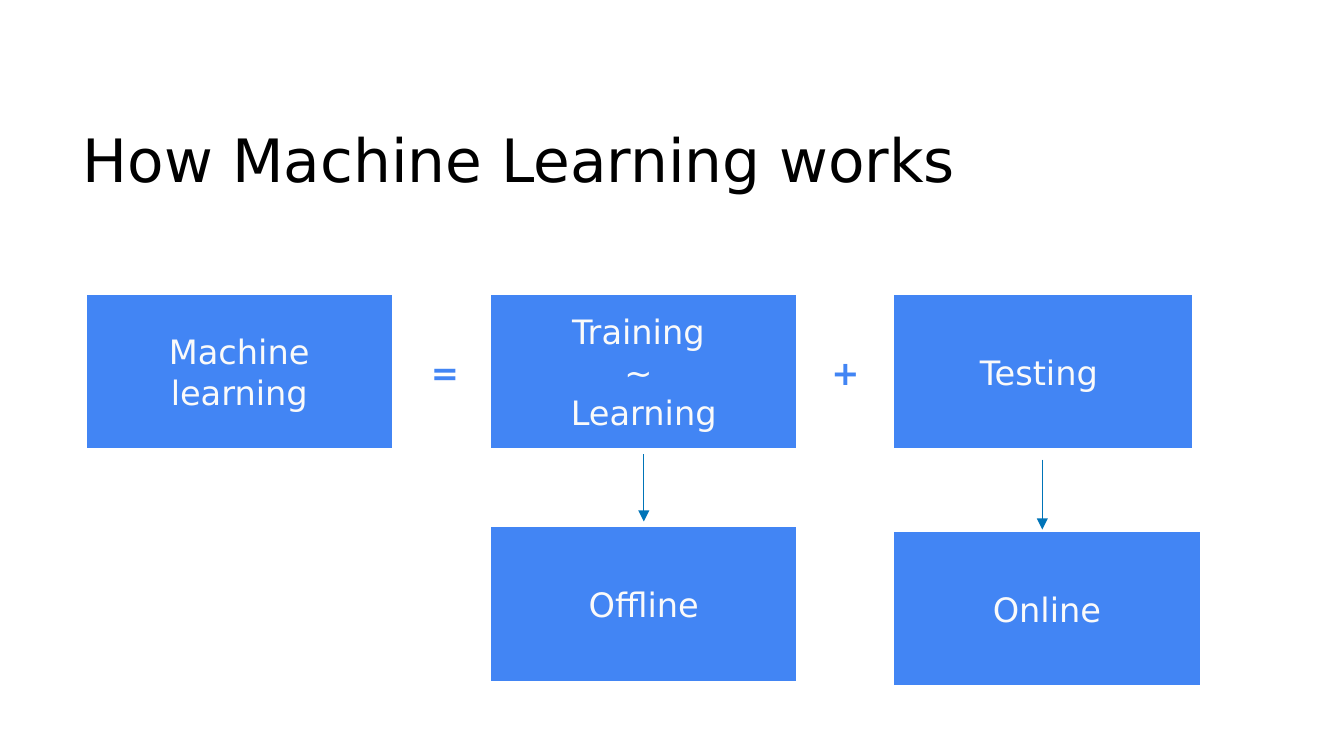
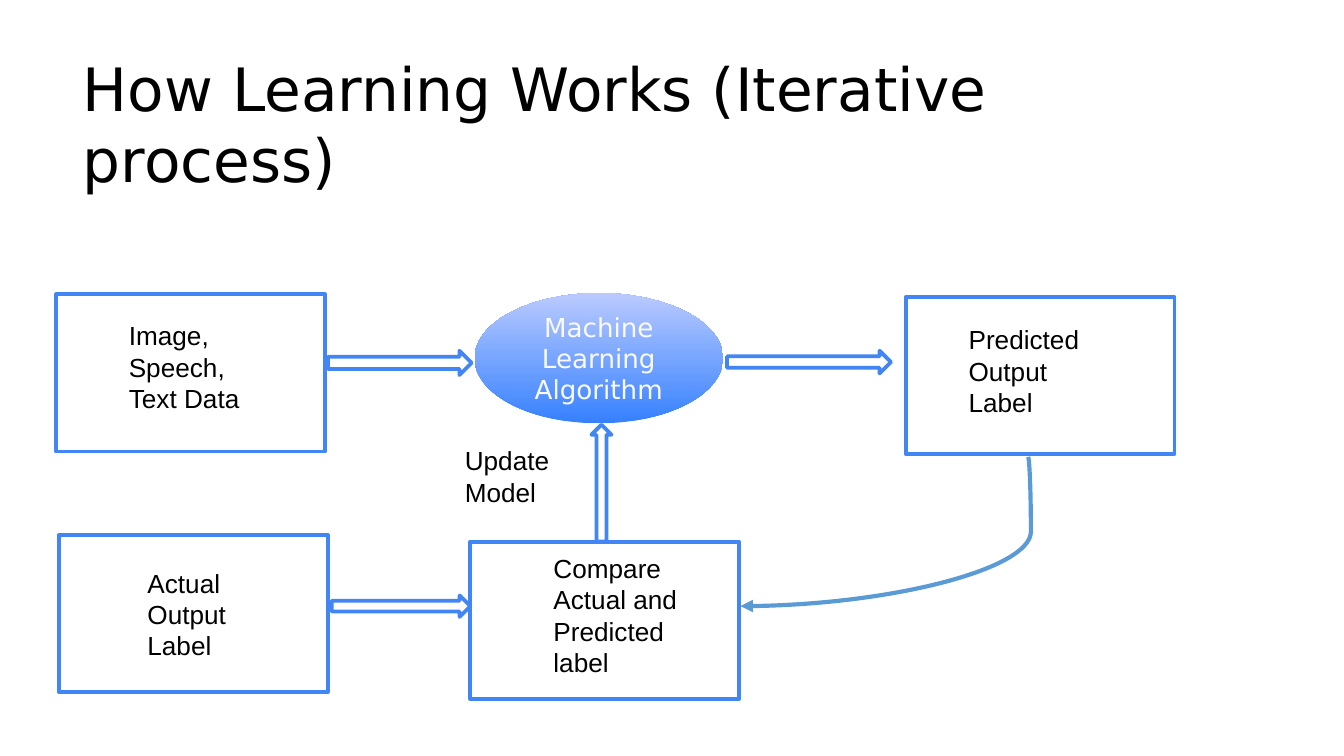
from lxml import etree
from pptx import Presentation
from pptx.dml.color import RGBColor
from pptx.enum.shapes import MSO_CONNECTOR, MSO_SHAPE
from pptx.enum.text import MSO_ANCHOR, PP_ALIGN
from pptx.oxml.ns import qn
from pptx.util import Pt

RECT, OVAL, ARROW = MSO_SHAPE.RECTANGLE, MSO_SHAPE.OVAL, MSO_SHAPE.RIGHT_ARROW
LINE, CURVE = MSO_CONNECTOR.STRAIGHT, MSO_CONNECTOR.CURVE
TOP, MIDDLE, BOTTOM = MSO_ANCHOR.TOP, MSO_ANCHOR.MIDDLE, MSO_ANCHOR.BOTTOM
LEFT, CENTER = PP_ALIGN.LEFT, PP_ALIGN.CENTER

WHITE = RGBColor(0xFF, 0xFF, 0xFF)
BLACK = RGBColor(0x00, 0x00, 0x00)
PALE = RGBColor(0xFA, 0xFA, 0xFA)
BLUE = RGBColor(0x42, 0x85, 0xF4)
TEAL = RGBColor(0x00, 0x74, 0xB8)
SKY = RGBColor(0x5B, 0x9B, 0xD5)
DEEP = RGBColor(0x36, 0x81, 0xFF)
MIST = RGBColor(0xBA, 0xCA, 0xFF)

HEAD, BODY = "DejaVu Sans", "Arial"
EDGE = 2
BOX_H = 84.2


def write(shape, lines, size, color, font=HEAD, bold=False,
          align=LEFT, anchor=TOP, pad=3.6):
    """Fill a shape with one paragraph for each line."""
    frame = shape.text_frame
    frame.word_wrap = True
    frame.vertical_anchor = anchor
    frame.margin_left = frame.margin_right = Pt(7.2)
    frame.margin_top = frame.margin_bottom = Pt(pad)
    for i, line in enumerate(lines):
        para = frame.add_paragraph() if i else frame.paragraphs[0]
        para.alignment = align
        run = para.add_run()
        run.text = line
        run.font.name = font
        run.font.size = Pt(size)
        run.font.bold = bold
        run.font.color.rgb = color


def add_text(slide, x, y, w, h, lines, size, **style):
    box = slide.shapes.add_textbox(Pt(x), Pt(y), Pt(w), Pt(h))
    write(box, lines, size, BLACK, **style)


def add_shape(slide, kind, x, y, w, h, fill=WHITE, edge=BLUE):
    shape = slide.shapes.add_shape(kind, Pt(x), Pt(y), Pt(w), Pt(h))
    shape.shadow.inherit = False
    shape.fill.solid()
    shape.fill.fore_color.rgb = fill
    shape.line.color.rgb = edge
    shape.line.width = Pt(EDGE)
    return shape


def add_link(slide, kind, x1, y1, x2, y2, color, width):
    """Add a connector with an arrowhead at its end."""
    link = slide.shapes.add_connector(kind, Pt(x1), Pt(y1), Pt(x2), Pt(y2))
    link.line.color.rgb = color
    link.line.width = Pt(width)
    props = link._element.spPr
    etree.SubElement(props.find(qn("a:ln")), qn("a:tailEnd"), type="triangle")
    etree.SubElement(props, qn("a:effectLst"))
    return link


def add_title(slide, text):
    add_text(slide, 37.4, 51.1, 615, 60.5, [text], 32,
             anchor=BOTTOM, pad=7.2)


def add_sum(slide, left, top):
    """Learning = training + testing, with the mode of each below."""
    wide, slim = 165.6, 50.4
    # x, y, width, lines, is a sign
    upper = [
        (0, 0, wide, ["Machine learning"], False),
        (167.8, 0, slim, ["="], True),
        (216.7, 0, wide, ["Training ", "~ ", "Learning"], False),
        (428.4, 0, wide, ["Testing"], False),
        (382.3, 0.4, slim, ["+"], True),
    ]
    lower = [
        (216.7, 124.6, wide, ["Offline"], False),
        (432.7, 127, wide, ["Online"], False),
    ]
    for x, y, w, lines, sign in upper + lower:
        fill, ink = (WHITE, BLUE) if sign else (BLUE, PALE)
        shape = add_shape(slide, RECT, left + x, top + y, w, BOX_H,
                          fill, WHITE)
        write(shape, lines, 18, ink, bold=sign, align=CENTER, anchor=MIDDLE)
    # Arrows down to the modes
    for x, y1, y2 in [(299.5, 86.4, 122.4), (513, 89.2, 126.7)]:
        add_link(slide, LINE, left + x, top + y1, left + x, top + y2,
                 TEAL, 0.75)


def add_card(slide, x, y, lines, dx, dy, h=74.2):
    """An outlined box with its label at an offset inside."""
    add_shape(slide, RECT, x, y, 144, BOX_H)
    add_text(slide, x + dx, y + dy, 90, h, lines, 14, font=BODY)


def add_model(slide, x, y):
    oval = add_shape(slide, OVAL, x, y, 133.2, 69.8)
    oval.line.fill.background()
    oval.fill.gradient()
    oval.fill.gradient_angle = 90
    for stop, color in zip(oval.fill.gradient_stops, (DEEP, MIST)):
        stop.color.rgb = color
    write(oval, ["Machine Learning Algorithm"], 14, PALE,
          align=CENTER, anchor=MIDDLE)


def add_loop(slide, left, top):
    """The training loop: predict, compare, update."""
    # Data and labels going in, prediction coming out
    add_card(slide, left, top + 0.7, ["Image, Speech, Text Data"], 31.7, 10.1)
    add_card(slide, left + 1.4, top + 129.6, ["Actual Output Label"],
             40.3, 13.7)
    add_card(slide, left + 455, top + 2.1, ["Predicted", "Output Label"],
             26.6, 10.8)
    add_model(slide, left + 224, top)
    # Block arrows to the right
    for x, y, w, h in [(145.5, 30.9, 77, 13), (359.3, 30.9, 87.8, 12.2),
                       (147.6, 162, 74.2, 11.5)]:
        add_shape(slide, ARROW, left + x, top + y, w, h)
    # Comparison and the update that goes up to the model
    add_card(slide, left + 221.8, top + 133.2,
             ["Compare Actual and Predicted", "label"], 37.4, 2.2, 90.7)
    rise = add_shape(slide, ARROW, left + 260.7, top + 96.4, 62.6, 10.8)
    rise.rotation = 270
    add_text(slide, left + 211.7, top + 77.7, 90, 57.6, ["Update Model"],
             14, font=BODY)
    # Curve from the prediction back to the comparison
    curve = add_link(slide, CURVE, left + 520.6, top + 87.8,
                     left + 366.5, top + 167.7, SKY, 2.25)
    guides = curve._element.spPr.find(qn("a:prstGeom")).find(qn("a:avLst"))
    etree.SubElement(guides, qn("a:gd"), name="adj1", fmla="val -1000")


deck = Presentation()
deck.slide_width, deck.slide_height = Pt(720), Pt(405)
pages = [
    ("How Machine Learning works", add_sum, 45.4, 157),
    ("How Learning Works (Iterative process)", add_loop, 30.2, 157),
]
for title, draw, left, top in pages:
    slide = deck.slides.add_slide(deck.slide_layouts[6])
    add_title(slide, title)
    draw(slide, left, top)
deck.save("out.pptx")
